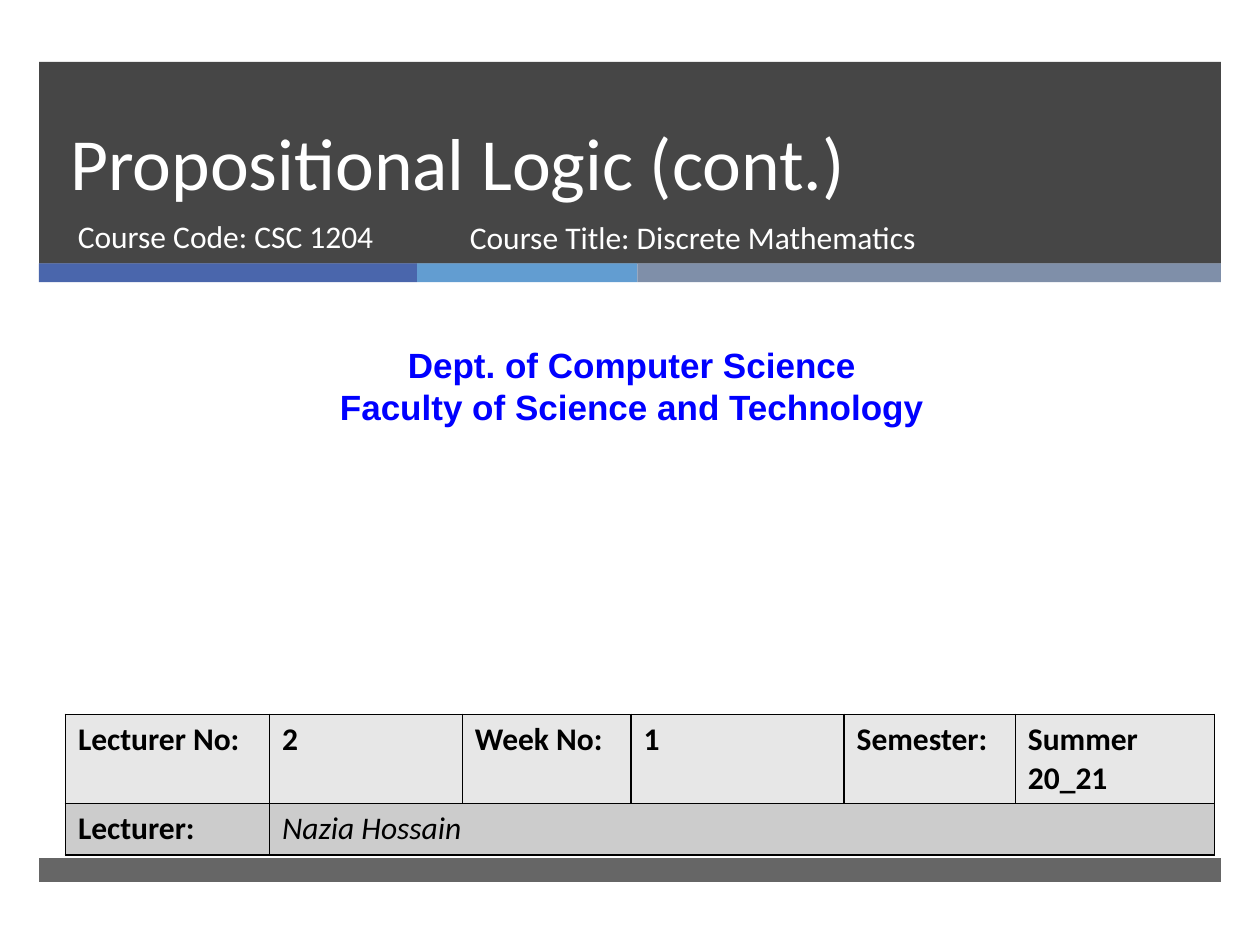
"""Build the opening slide of a Propositional Logic lecture."""
from lxml import etree
from pptx import Presentation
from pptx.dml.color import RGBColor
from pptx.enum.shapes import MSO_SHAPE
from pptx.enum.text import MSO_ANCHOR, PP_ALIGN
from pptx.oxml.ns import qn
from pptx.util import Pt

RECTANGLE = MSO_SHAPE.RECTANGLE
TOP, BOTTOM = MSO_ANCHOR.TOP, MSO_ANCHOR.BOTTOM
LEFT, CENTER = PP_ALIGN.LEFT, PP_ALIGN.CENTER

CHARCOAL = RGBColor(0x26, 0x26, 0x26)
INDIGO = RGBColor(0x4A, 0x66, 0xAC)
SKY = RGBColor(0x62, 0x9D, 0xD1)
SLATE = RGBColor(0x7F, 0x8F, 0xA9)
WHITE = RGBColor(0xFF, 0xFF, 0xFF)
BLACK = RGBColor(0, 0, 0)
BLUE = RGBColor(0, 0, 0xFF)
LIGHT_GREY = RGBColor(0xE7, 0xE7, 0xE7)
MID_GREY = RGBColor(0xCC, 0xCC, 0xCC)


def add_text(slide, place, lines, size, color, name="Calibri", bold=False,
             align=LEFT, anchor=TOP, spacing=None):
    box = slide.shapes.add_textbox(*map(Pt, place))
    frame = box.text_frame
    frame.word_wrap = True
    frame.vertical_anchor = anchor
    frame.text = "\n".join(lines)
    for para in frame.paragraphs:
        para.alignment = align
        para.line_spacing = spacing
        para.font.size = Pt(size)
        para.font.name = name
        para.font.bold = bold
        para.font.color.rgb = color


def add_borders(cell):
    properties = cell._tc.get_or_add_tcPr()
    for position, side in enumerate(("lnL", "lnR", "lnT", "lnB")):
        line = etree.Element(qn(f"a:{side}"), w=str(Pt(1)))
        fill = etree.SubElement(line, qn("a:solidFill"))
        etree.SubElement(fill, qn("a:srgbClr"), val=str(BLACK))
        properties.insert(position, line)


deck = Presentation()
deck.slide_width, deck.slide_height = Pt(720), Pt(540)
page = deck.slides.add_slide(deck.slide_layouts[6])

bands = [
    (22.3, 35.3, 675.4, 115.4, CHARCOAL, 85),
    (22.3, 150.5, 216, 10.8, INDIGO, 100),
    (238.3, 150.5, 126, 10.8, SKY, 100),
    (364.3, 150.5, 333.4, 10.8, SLATE, 100),
    (22.3, 490.3, 675.4, 13.7, CHARCOAL, 70),
]
for *place, color, opacity in bands:
    band = page.shapes.add_shape(RECTANGLE, *map(Pt, place))
    band.shadow.inherit = False
    band.line.fill.background()
    band.fill.solid()
    band.fill.fore_color.rgb = color
    if opacity < 100:
        tint = band._element.spPr.find(qn("a:solidFill")).find(qn("a:srgbClr"))
        etree.SubElement(tint, qn("a:alpha"), val=str(opacity * 1000))

add_text(page, (33.1, 35.3, 615, 85.7), ["Propositional Logic (cont.)"], 42, WHITE,
         anchor=BOTTOM, spacing=Pt(46))
add_text(page, (37.4, 120.7, 219.6, 38.2), ["Course Code: CSC 1204"], 18, WHITE)
add_text(page, (261.4, 121, 327.6, 38.2), ["Course Title: Discrete Mathematics"], 18, WHITE)
add_text(page, (5.8, 193, 710.6, 55.4),
         ["Dept. of Computer Science", "Faculty of Science and Technology"],
         20, BLUE, name="Arial", bold=True, align=CENTER)

widths = [116.6, 110.2, 96.5, 121.7, 97.9, 113.8]
heights = [50.9, 29.5]
rows = [
    ["Lecturer No:", "2", "Week No:", "1", "Semester:", "Summer 20_21"],
    ["Lecturer:", "Nazia Hossain", "", "", "", ""],
]
table = page.shapes.add_table(2, 6, Pt(37.4), Pt(408.2), Pt(sum(widths)),
                              Pt(sum(heights))).table
for column, width in zip(table.columns, widths):
    column.width = Pt(width)
for row, height in zip(table.rows, heights):
    row.height = Pt(height)
for row_index, (texts, shade) in enumerate(zip(rows, (LIGHT_GREY, MID_GREY))):
    for column_index, text in enumerate(texts):
        cell = table.cell(row_index, column_index)
        cell.fill.solid()
        cell.fill.fore_color.rgb = shade
        add_borders(cell)
        cell.text = text
        is_name = row_index == 1 and column_index > 0
        font = cell.text_frame.paragraphs[0].font
        font.size = Pt(18)
        font.name = "Calibri"
        font.bold = not is_name
        font.italic = is_name
        font.color.rgb = BLACK
table.cell(1, 1).merge(table.cell(1, 5))

deck.save("out.pptx")
